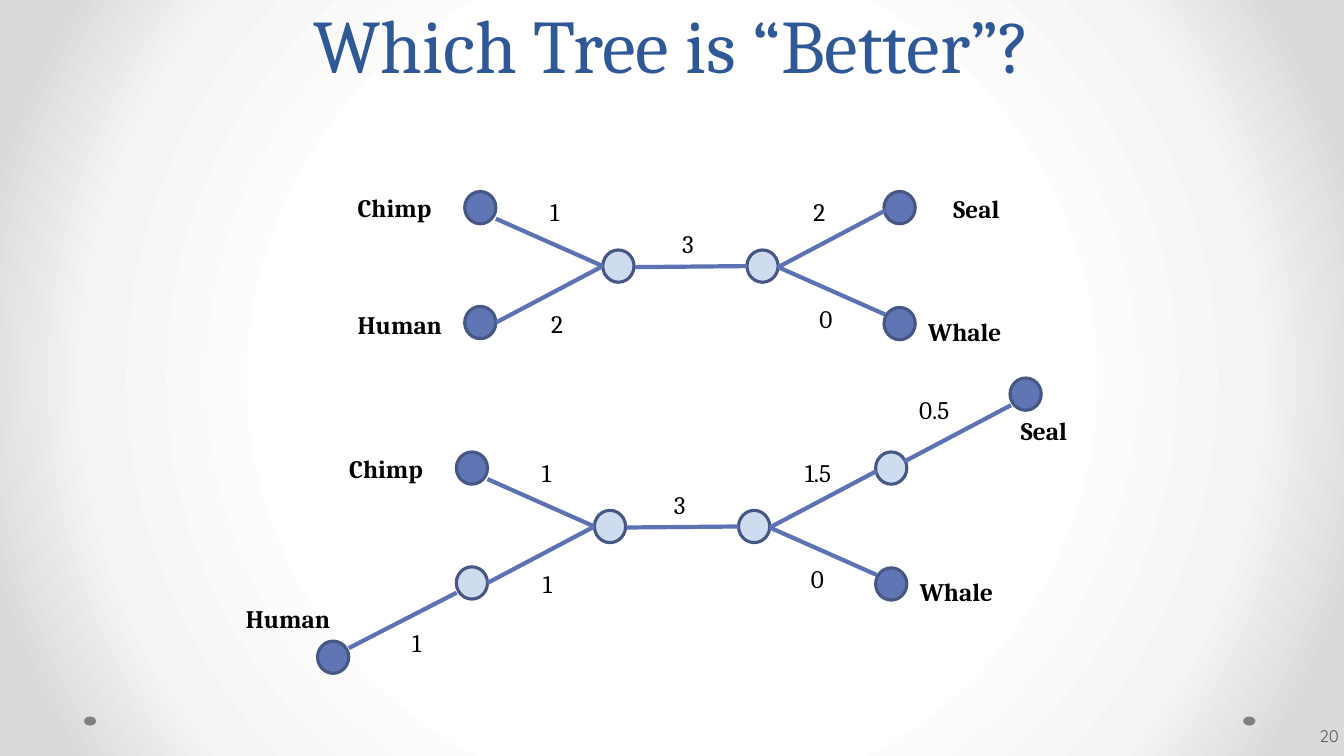
"""Build a slide comparing two weighted phylogenetic trees."""
from dataclasses import dataclass

from lxml.etree import SubElement
from pptx import Presentation
from pptx.dml.color import RGBColor
from pptx.enum.shapes import MSO_CONNECTOR, MSO_SHAPE
from pptx.enum.text import MSO_ANCHOR, MSO_AUTO_SIZE, PP_ALIGN
from pptx.oxml import parse_xml
from pptx.oxml.ns import nsdecls, qn
from pptx.shapes.shapetree import GroupShapes, SlideShapes
from pptx.slide import Slide
from pptx.util import Inches, Pt

COLUMNS, ROWS = 80, 45
UNIT = Inches(1) / 6
NODE_WIDTH, NODE_HEIGHT = 1.86, 1.92
LABEL_HEIGHT = 2.4
COLORS = {
    "title": "2F5897", "leaf": "6076B4", "inner": "CFDCF0", "outline": "475785",
    "edge": "5C72B2", "text": "000000", "dot": "808080", "number": "595959",
}
BACKGROUND_STOPS = {50: "FFFFFF", 76: "F4F4F4", 92: "DADADA"}


@dataclass(frozen=True)
class Node:
    column: float
    row: float
    kind: str = "leaf"


@dataclass(frozen=True)
class Edge:
    start: tuple[float, float]
    end: tuple[float, float]


@dataclass(frozen=True)
class Label:
    text: str
    column: float
    row: float
    width: float = 1.98
    bold: bool = False


@dataclass(frozen=True)
class Tree:
    column: float
    row: float
    nodes: list[Node]
    edges: list[Edge]
    labels: list[Label]


LEFT_JOINT, RIGHT_JOINT = (35.88, 15.84), (46.32, 15.9)
CORE_EDGES = [
    Edge((29.52, 13.02), LEFT_JOINT),
    Edge((29.52, 19.2), LEFT_JOINT),
    Edge(RIGHT_JOINT, (52.68, 18.72)),
    Edge(RIGHT_JOINT, (52.68, 12.54)),
    Edge((37.8, 15.9), (44.46, 15.84)),
]
CORE_LABELS = [
    Label("1", 32.16, 11.4),
    Label("3", 40.02, 13.32),
    Label("0", 48.18, 17.76),
    Label("Chimp", 20.7, 11.16, 6, True),
    Label("Whale", 54.66, 18.54, 5.7, True),
]


def core_nodes(human_side: str, seal_side: str) -> list[Node]:
    """Return the six nodes that both trees share."""
    return [
        Node(27.66, 11.4), Node(27.66, 18.24, human_side),
        Node(35.88, 14.88, "inner"), Node(44.46, 14.88, "inner"),
        Node(52.62, 11.4, seal_side), Node(52.62, 18.3),
    ]


TREES = [
    Tree(0, 0, core_nodes("leaf", "leaf"), CORE_EDGES, CORE_LABELS + [
        Label("2", 32.22, 18.06),
        Label("2", 47.82, 11.4),
        Label("Human", 20.7, 18.12, 6.42, True),
        Label("Seal", 56.16, 11.22, 4.14, True),
    ]),
    Tree(
        -0.5, 15.5,
        core_nodes("inner", "inner") + [Node(19.4, 22.66), Node(60.62, 7)],
        CORE_EDGES + [
            Edge((21.26, 23.08), (27.68, 19.78)),
            Edge((54.32, 11.98), (60.68, 8.62)),
        ],
        CORE_LABELS + [
            Label("1", 32.22, 18.06),
            Label("1.5", 47.82, 11.4, 3.12),
            Label("1", 24.44, 21.52),
            Label("0.5", 54.62, 7.66, 3.12),
            Label("Human", 14.54, 20.14, 6.42, True),
            Label("Seal", 60.68, 8.92, 4.14, True),
        ],
    ),
]


def grid(*steps: float) -> list[int]:
    """Convert grid steps to slide lengths."""
    return [round(step * UNIT) for step in steps]


def color(name: str) -> RGBColor:
    """Look up a named color."""
    return RGBColor.from_string(COLORS[name])


def add_ellipse(shapes: SlideShapes | GroupShapes, place: list[int], fill: str, outline: bool) -> None:
    """Draw a filled ellipse with or without an outline."""
    ellipse = shapes.add_shape(MSO_SHAPE.OVAL, *place)
    ellipse.shadow.inherit = False
    ellipse.fill.solid()
    ellipse.fill.fore_color.rgb = color(fill)
    if outline:
        ellipse.line.color.rgb = color("outline")
        ellipse.line.width = Pt(2.25)
    else:
        ellipse.line.fill.background()


def add_edge(shapes: GroupShapes, ends: list[int]) -> None:
    """Draw one branch of a tree."""
    edge = shapes.add_connector(MSO_CONNECTOR.STRAIGHT, *ends)
    edge.line.color.rgb = color("edge")
    edge.line.width = Pt(3)
    SubElement(edge.element.spPr, qn("a:effectLst"))


def add_label(shapes: GroupShapes, label: Label, place: list[int]) -> None:
    """Write a branch length or a species name."""
    box = shapes.add_textbox(*place)
    box.text_frame.word_wrap = False
    box.text_frame.auto_size = MSO_AUTO_SIZE.SHAPE_TO_FIT_TEXT
    para = box.text_frame.paragraphs[0]
    para.text = label.text
    para.font.name, para.font.size, para.font.bold = "Cambria", Pt(18), label.bold
    para.font.color.rgb = color("text")


def add_tree(page: Slide, tree: Tree) -> None:
    """Draw a tree as one group."""
    shapes = page.shapes.add_group_shape().shapes
    left, top = tree.column, tree.row
    for node in tree.nodes:
        place = grid(left + node.column, top + node.row, NODE_WIDTH, NODE_HEIGHT)
        add_ellipse(shapes, place, node.kind, True)
    for edge in tree.edges:
        ends = [(left + column, top + row) for column, row in (edge.start, edge.end)]
        add_edge(shapes, grid(*ends[0], *ends[1]))
    for label in tree.labels:
        add_label(shapes, label, grid(left + label.column, top + label.row, label.width, LABEL_HEIGHT))


def set_background(page: Slide) -> None:
    """Fill the page with a radial gradient."""
    page.background.fill.gradient()
    linear = page.element.find(f".//{qn('a:gradFill')}")
    stops = "".join(
        f'<a:gs pos="{share * 1000}"><a:srgbClr val="{shade}"/></a:gs>'
        for share, shade in BACKGROUND_STOPS.items()
    )
    radial = parse_xml(
        f'<a:gradFill {nsdecls("a")} rotWithShape="1"><a:gsLst>{stops}</a:gsLst>'
        '<a:path path="circle"><a:fillToRect l="50000" t="50000" r="50000" b="50000"/>'
        "</a:path></a:gradFill>"
    )
    linear.getparent().replace(linear, radial)


def format_title(page: Slide) -> None:
    """Place and format the title."""
    title = page.shapes.title
    title.left, title.top, title.width, title.height = grid(4, 1.14, 72, 4.44)
    frame = title.text_frame
    frame.text = "Which Tree is “Better”?"
    frame.vertical_anchor = MSO_ANCHOR.BOTTOM
    frame.auto_size = MSO_AUTO_SIZE.NONE
    para = frame.paragraphs[0]
    para.alignment, para.line_spacing = PP_ALIGN.CENTER, Pt(58)
    para.font.name, para.font.size = "Cambria", Pt(54)
    para.font.color.rgb = color("title")


def add_page_number(page: Slide) -> None:
    """Write the page number in the lower right corner."""
    frame = page.shapes.add_textbox(*grid(62, 42.6, 18, 2.4)).text_frame
    frame.word_wrap = True
    frame.vertical_anchor = MSO_ANCHOR.MIDDLE
    frame.margin_left, frame.margin_right = Inches(0.03), Inches(0.05)
    para = frame.paragraphs[0]
    para.text, para.alignment = "20", PP_ALIGN.RIGHT
    para.font.name, para.font.size = "Quicksand", Pt(12)
    para.font.color.rgb = color("number")


def main() -> None:
    """Build and save the deck."""
    deck = Presentation()
    deck.slide_width, deck.slide_height = grid(COLUMNS, ROWS)
    page = deck.slides.add_slide(deck.slide_layouts[5])
    set_background(page)
    for column in (74, 5):
        add_ellipse(page.shapes, grid(column, 42.65, 0.72, 0.54), "dot", False)
    format_title(page)
    for tree in TREES:
        add_tree(page, tree)
    add_page_number(page)
    deck.save("out.pptx")


if __name__ == "__main__":
    main()
